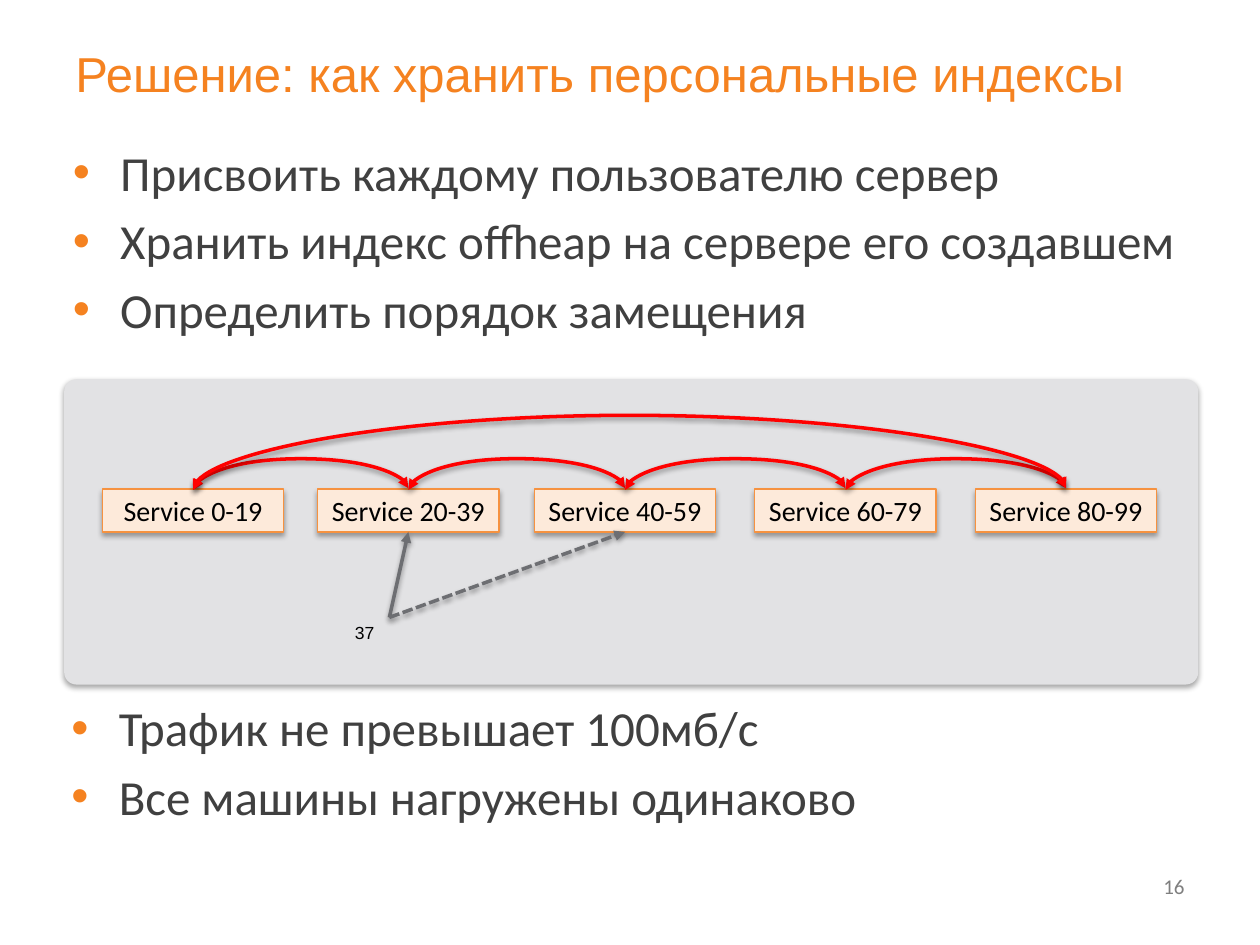
import pptx
import pptx.dml.color
import pptx.enum.dml
import pptx.enum.shapes
import pptx.enum.text
import pptx.oxml
import pptx.oxml.ns
import pptx.util

Pt = pptx.util.Pt
KIND = pptx.enum.shapes.MSO_CONNECTOR
FORM = pptx.enum.shapes.MSO_SHAPE
ALIGN = pptx.enum.text.PP_ALIGN
ANCHOR = pptx.enum.text.MSO_ANCHOR
RED, GREY, ORANGE, DARK = "FF0000", "6D6E72", "F58220", "404040"
BOX_W, BOX_H, BOX_Y = 103.7, 31 - 6.5, 279.5


def color(code):
    return pptx.dml.color.RGBColor.from_string(code)


def node(parent, tag, **attrs):
    item = pptx.oxml.parse_xml(f"<a:{tag} {pptx.oxml.ns.nsdecls('a')}/>")
    for key, value in attrs.items():
        item.set(key, str(value))
    parent.append(item)
    return item


def shade(shape, alpha, dist):
    """Add a soft shadow that falls straight down."""
    effects = node(shape._element.spPr, "effectLst")
    shadow = node(effects, "outerShdw", blurRad=Pt(3.1), dist=Pt(dist),
                  dir=5400000, rotWithShape=0)
    tint = node(shadow, "srgbClr", val="000000")
    node(tint, "alpha", val=alpha * 1000)


def write(par, text, size, font, code):
    run = par.add_run()
    run.text = text
    run.font.size = Pt(size)
    run.font.name = font
    run.font.color.rgb = color(code)


def label(slide, box, text, size, font, code, align=ALIGN.LEFT,
          anchor=ANCHOR.TOP, wrap=True):
    frame = slide.shapes.add_textbox(*map(Pt, box)).text_frame
    frame.word_wrap = wrap
    frame.vertical_anchor = anchor
    par = frame.paragraphs[0]
    par.alignment = align
    write(par, text, size, font, code)


def bullets(slide, box, lines):
    frame = slide.shapes.add_textbox(*map(Pt, box)).text_frame
    frame.word_wrap = True
    for i, line in enumerate(lines):
        par = frame.add_paragraph() if i else frame.paragraphs[0]
        props = par._p.get_or_add_pPr()
        props.set("marL", str(Pt(27)))
        props.set("indent", str(-Pt(27)))
        if i:
            par.space_before = Pt(5.6)
        node(node(props, "buClr"), "srgbClr", val=ORANGE)
        node(props, "buFont", typeface="Arial")
        node(props, "buChar", char="•")
        write(par, line, 28, "Calibri", DARK)


def block(slide, form, box, fill, edge=None):
    shape = slide.shapes.add_shape(form, *map(Pt, box))
    shape.fill.solid()
    shape.fill.fore_color.rgb = color(fill)
    if edge:
        shape.line.color.rgb = color(edge)
        shape.line.width = Pt(0.75)
    else:
        shape.line.fill.background()
    shade(shape, 35, 1.8)
    return shape


def service(slide, left, text):
    shape = block(slide, FORM.RECTANGLE, (left, BOX_Y, BOX_W, BOX_H),
                  "FDEADA", "F69240")
    frame = shape.text_frame
    frame.margin_top = frame.margin_bottom = 0
    frame.vertical_anchor = ANCHOR.MIDDLE
    par = frame.paragraphs[0]
    par.alignment = ALIGN.CENTER
    write(par, text, 16, "Calibri", "000000")


def style(line, code, both=False, dash=False):
    line.line.color.rgb = color(code)
    line.line.width = Pt(2)
    if dash:
        line.line.dash_style = pptx.enum.dml.MSO_LINE.SQUARE_DOT
    ln = line.line._get_or_add_ln()
    if both:
        node(ln, "headEnd", type="triangle")
    node(ln, "tailEnd", type="triangle")
    shade(line, 38, 1.6)


def arc(slide, start, end, rise):
    """Join two points on the box tops by a curve, a connector turned upright."""
    mid, half = (start + end) / 2, (end - start) / 2
    line = slide.shapes.add_connector(
        KIND.CURVE, Pt(mid - 0.5), Pt(BOX_Y - half),
        Pt(mid + 0.5), Pt(BOX_Y + half))
    props = line._element.spPr
    for key, value in (("rot", 5400000), ("flipH", 1), ("flipV", 1)):
        props.xfrm.set(key, str(value))
    guides = props.find(pptx.oxml.ns.qn("a:prstGeom")).get_or_add_avLst()
    node(guides, "gd", name="adj1", fmla=f"val {int(rise * 100000)}")
    style(line, RED, both=True)


def arrow(slide, start, end, dash=False):
    line = slide.shapes.add_connector(KIND.STRAIGHT, *map(Pt, start + end))
    style(line, GREY, dash=dash)


def main():
    deck = pptx.Presentation()
    deck.slide_width, deck.slide_height = Pt(720), Pt(540)
    slide = deck.slides.add_slide(deck.slide_layouts[6])

    label(slide, (36, 21.6, 648, 54.7),
          "Решение: как хранить персональные индексы", 28, "Arial", ORANGE)
    label(slide, (516.2, 491.8, 167.8, 28.8), "16", 12, "Calibri", "7F7F7F",
          ALIGN.RIGHT, ANCHOR.MIDDLE)

    panel = block(slide, FORM.ROUNDED_RECTANGLE, (36.7, 216.7, 648, 174.5),
                  "E2E2E4")
    panel.adjustments[0] = 0.04

    lefts = (58.5, 181.5, 305.3, 431.3, 557.3)
    for i, left in enumerate(lefts):
        service(slide, left, f"Service {20 * i}-{20 * i + 19}")
    mids = [left + BOX_W / 2 for left in lefts]
    for start, end in zip(mids, mids[1:]):
        arc(slide, start, end, 18)
    arc(slide, mids[0], mids[-1], 43)

    source = (222.5, 352.8)
    arrow(slide, source, (mids[1], BOX_Y + BOX_H))
    arrow(slide, source, (mids[2], BOX_Y + BOX_H), dash=True)
    label(slide, (195.8, 352.1, 25.9, 19.4), "37", 10, "Arial", "000000",
          wrap=False)

    bullets(slide, (34.6, 77.8, 648, 126.7),
            ("Присвоить каждому пользователю сервер",
             "Хранить индекс offheap на сервере его создавшем",
             "Определить порядок замещения"))
    bullets(slide, (33.8, 395.3, 648, 108),
            ("Трафик не превышает 100мб/c", "Все машины нагружены одинаково"))
    deck.save("out.pptx")


if __name__ == "__main__":
    main()
